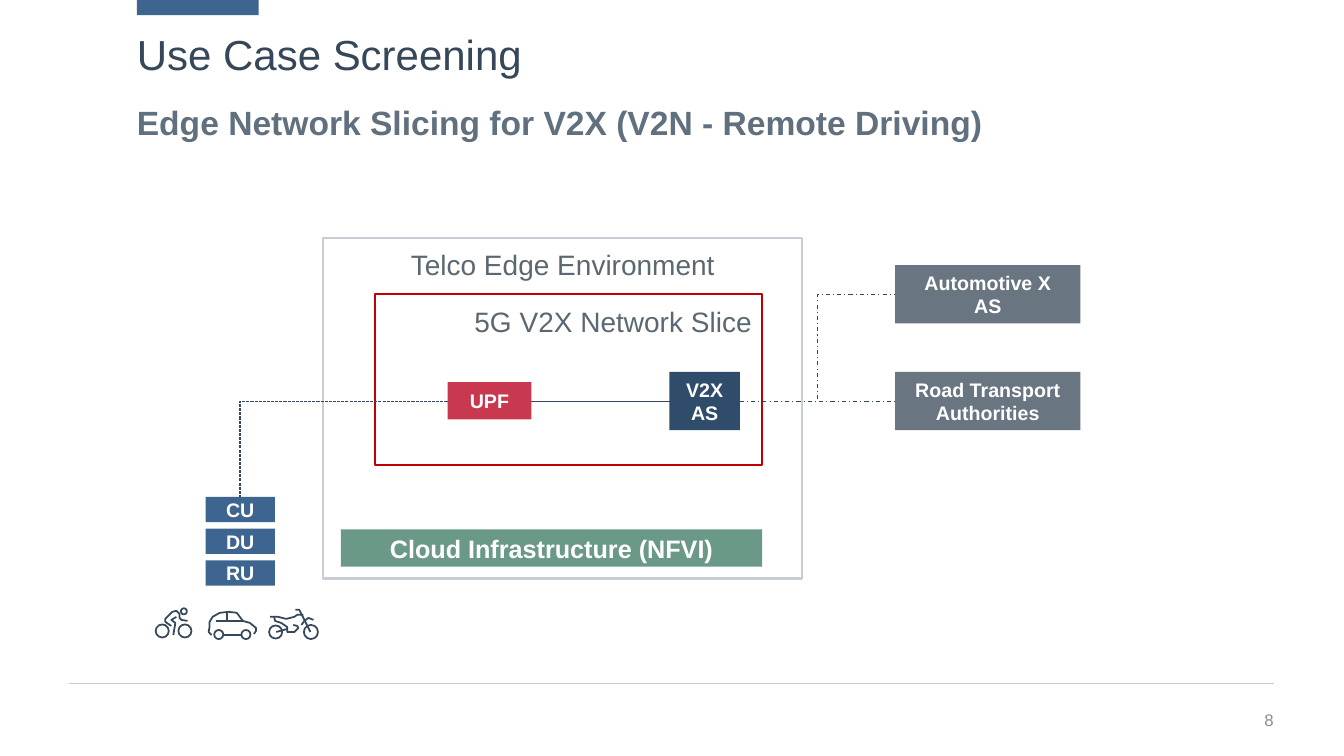
import lxml.etree
import pptx
import pptx.dml.color
import pptx.enum.dml
import pptx.enum.shapes
import pptx.enum.text
import pptx.oxml.ns
import pptx.util

Cm = pptx.util.Cm
Pt = pptx.util.Pt
ALIGN = pptx.enum.text.PP_ALIGN
ANCHOR = pptx.enum.text.MSO_ANCHOR
DASH = pptx.enum.dml.MSO_LINE
SHAPE = pptx.enum.shapes.MSO_SHAPE
CONNECTOR = pptx.enum.shapes.MSO_CONNECTOR
INK, BLUE, RULE, GREY = "364759", "3E658F", "C7CDD2", "697681"


def paint(fill, color):
    fill.solid()
    fill.fore_color.rgb = pptx.dml.color.RGBColor.from_string(color)


def write(frame, text, color, align, frame_format, font_format):
    frame.word_wrap = True
    for name, value in frame_format.items():
        setattr(frame, name, value)
    frame.text = text
    for paragraph in frame.paragraphs:
        paragraph.alignment = align
        paragraph.font.name = "Arial"
        paint(paragraph.font.fill, color)
        for name, value in font_format.items():
            setattr(paragraph.font, name, value)


deck = pptx.Presentation()
deck.slide_width, deck.slide_height = Cm(33.87), Cm(19.05)
slide = deck.slides.add_slide(deck.slide_layouts[6])
shapes = slide.shapes

flush = {"margin_left": 0, "margin_right": 0, "margin_top": 0, "margin_bottom": 0}
headings = [
    ("Use Case Screening", (3.45, 0.81, 26.95, 1.22), INK, ALIGN.LEFT,
     ANCHOR.TOP, {"size": Pt(30)}),
    ("Edge Network Slicing for V2X (V2N - Remote Driving)", (3.45, 2.57, 28.63, 1.5),
     "61707E", ALIGN.LEFT, ANCHOR.TOP, {"size": Pt(24), "bold": True}),
    ("8", (30.4, 17.63, 1.7, 1.02), "8C8E91", ALIGN.RIGHT,
     ANCHOR.MIDDLE, {"size": Pt(12)}),
]
for text, place, color, align, anchor, font_format in headings:
    heading = shapes.add_textbox(*map(Cm, place))
    write(heading.text_frame, text, color, align,
          {**flush, "vertical_anchor": anchor}, font_format)
    heading.text_frame.paragraphs[0].line_spacing = 0.95 if color == INK else 1.0

environments = [
    ("Telco Edge Environment", (8.15, 5.99, 12.07, 8.59), RULE, ALIGN.CENTER),
    ("5G V2X Network Slice", (9.45, 7.42, 9.75, 4.29), "C00000", ALIGN.RIGHT),
]
for text, place, outline, align in environments:
    environment = shapes.add_shape(SHAPE.RECTANGLE, *map(Cm, place))
    environment.shadow.inherit = False
    environment.fill.background()
    paint(environment.line.fill, outline)
    environment.line.width = Pt(1.5)
    write(environment.text_frame, text, "5B6771", align,
          {"vertical_anchor": ANCHOR.TOP, "margin_top": Cm(0.25)}, {"size": Pt(20)})

components = [
    ("", (3.45, 0, 3.07, 0.38), BLUE, 14),
    ("UPF", (11.28, 9.63, 2.11, 0.94), "C8394F", 14),
    ("Cloud Infrastructure (NFVI)", (8.59, 13.34, 10.62, 0.94), "6B9988", 18),
    ("V2X AS", (16.87, 9.37, 1.78, 1.47), "2F4C6B", 14),
    ("Automotive X\nAS", (22.56, 6.68, 4.67, 1.47), GREY, 14),
    ("Road Transport Authorities", (22.56, 9.37, 4.67, 1.47), GREY, 14),
]
for level, unit in enumerate(["CU", "DU", "RU"]):
    components.append((unit, (5.18, 12.52 + 0.8 * level, 1.75, 0.64), BLUE, 14))
for text, place, color, size in components:
    component = shapes.add_shape(SHAPE.RECTANGLE, *map(Cm, place))
    component.shadow.inherit = False
    paint(component.fill, color)
    component.line.fill.background()
    write(component.text_frame, text, "FFFFFF", ALIGN.CENTER,
          {"vertical_anchor": ANCHOR.MIDDLE}, {"size": Pt(size), "bold": True})

links = [
    ("line", (1.75, 17.22, 32.11, 17.22), RULE, 1, DASH.SOLID),
    ("line", (13.39, 10.11, 16.94, 10.11), INK, 0.75, DASH.SOLID),
    ("line", (18.64, 10.11, 22.56, 10.11), INK, 0.75, DASH.DASH_DOT),
    ("bentConnector3", (18.64, 10.11, 22.56, 7.42), INK, 0.75, DASH.DASH_DOT),
    ("bentConnector2", (11.28, 10.11, 6.05, 12.52), INK, 0.75, DASH.SQUARE_DOT),
]
for geometry, ends, color, width, dash in links:
    route = CONNECTOR.STRAIGHT if geometry == "line" else CONNECTOR.ELBOW
    link = shapes.add_connector(route, *map(Cm, ends))
    paint(link.line.fill, color)
    link.line.width = Pt(width)
    link.line.dash_style = dash
    properties = link._element.spPr
    properties.find(pptx.oxml.ns.qn("a:prstGeom")).set("prst", geometry)
    lxml.etree.SubElement(properties, pptx.oxml.ns.qn("a:effectLst"))

grid = Cm(0.0254)
road_users = {
    "cyclist": {
        "circles": [(161, 626, 6.5), (183.5, 626, 6.5), (182.5, 606.5, 3)],
        "strokes": [
            [(170, 621), (164, 617), (164, 614), (171, 607), (175, 606),
             (178, 609), (178, 613), (180, 615), (185.5, 616.5)],
            [(175, 611.5), (170, 615), (174.5, 618.5), (172, 629.5)],
        ],
    },
    "car": {
        "circles": [(217, 629.5, 4.5), (244, 629.5, 4.5)],
        "strokes": [
            [(210, 630), (207, 627), (208, 622), (208, 617), (211, 612), (218, 608),
             (227, 607), (235, 608), (241, 616), (248, 618), (254, 623),
             (254, 626), (252, 629)],
            [(214, 616), (241, 616)],
            [(225, 607), (225, 616)],
            [(221, 630), (240, 630)],
        ],
    },
    "motorbike": {
        "circles": [(273.5, 627, 6.5), (308.5, 627, 7)],
        "strokes": [
            [(293, 605), (297, 605), (308, 627)],
            [(299, 620), (302, 616), (306, 613), (311, 615)],
            [(268, 612), (276, 612), (284, 614), (292, 612), (295, 610), (301, 610)],
            [(272, 612), (273, 616), (279, 618), (285, 622), (285, 627),
             (292, 627), (296, 623), (295, 621), (291, 620)],
            [(274, 627), (285, 624)],
        ],
    },
}
for user in road_users.values():
    outlines = []
    for x, y, radius in user["circles"]:
        place = (x - radius, y - radius, 2 * radius, 2 * radius)
        outlines.append(shapes.add_shape(SHAPE.OVAL, *[int(v * grid) for v in place]))
    for start, *rest in user["strokes"]:
        builder = shapes.build_freeform(*start, scale=grid)
        builder.add_line_segments(rest, close=False)
        outlines.append(builder.convert_to_shape())
    for outline in outlines:
        outline.shadow.inherit = False
        outline.fill.background()
        paint(outline.line.fill, INK)
        outline.line.width = Pt(1.25)

deck.save("out.pptx")
